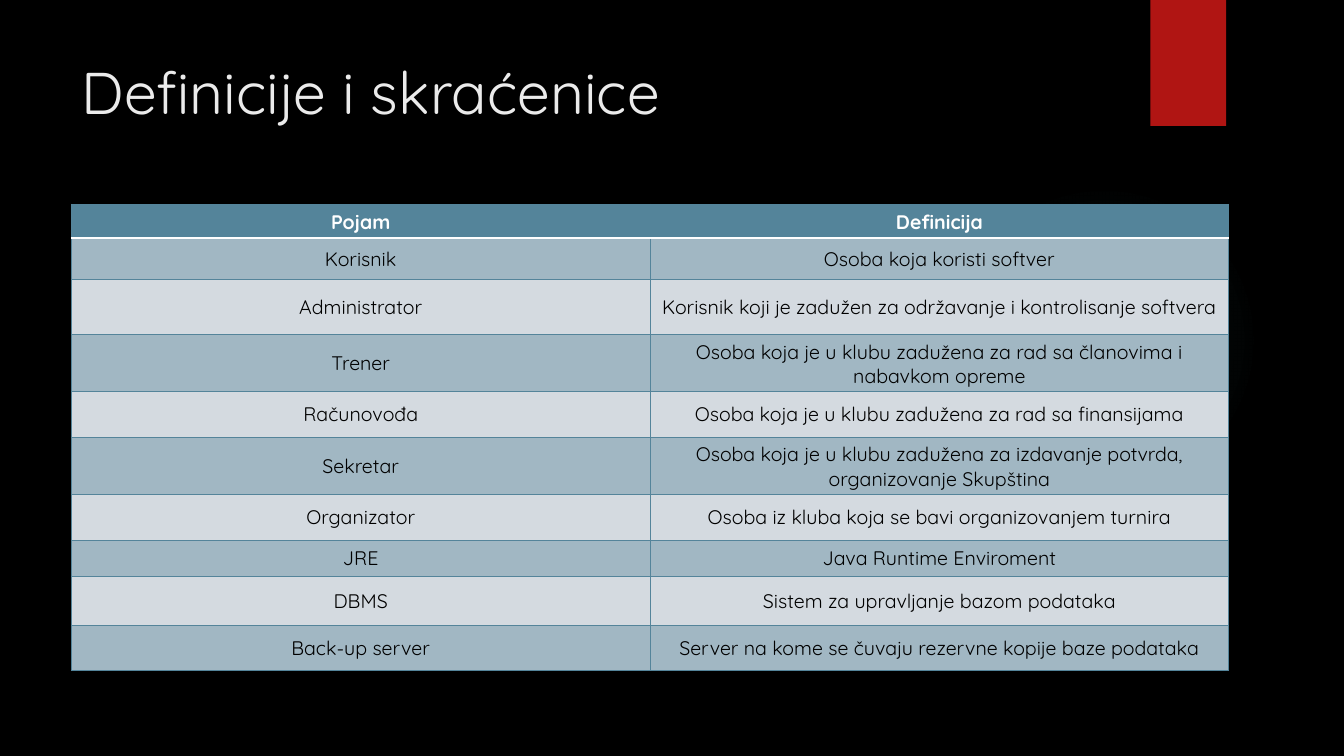
import pptx
import pptx.dml.color
import pptx.enum.shapes
import pptx.enum.text
import pptx.oxml
import pptx.util
from lxml import etree

Pt = pptx.util.Pt
SHAPE = pptx.enum.shapes.MSO_SHAPE
ANCHOR = pptx.enum.text.MSO_ANCHOR
ALIGN = pptx.enum.text.PP_ALIGN
NS = "http://schemas.openxmlformats.org/drawingml/2006/main"
TEAL, LIGHT, DARK = "54849A", "D4DAE0", "A1B7C3"


def rgb(value):
    return pptx.dml.color.RGBColor.from_string(value)


def write(tf, text, size=14, color="000000", bold=False, align=ALIGN.CENTER):
    p = tf.paragraphs[0]
    p.alignment = align
    r = p.add_run()
    r.text = text
    r.font.name = "Quicksand"
    r.font.size = Pt(size)
    r.font.bold = bold
    r.font.color.rgb = rgb(color)


prs = pptx.Presentation()
prs.slide_width, prs.slide_height = Pt(960), Pt(540)
s = prs.slides.add_slide(prs.slide_layouts[6])
s.background.fill.solid()
s.background.fill.fore_color.rgb = rgb("000000")

glow = s.shapes.add_shape(SHAPE.OVAL, Pt(677.5), Pt(131.8), Pt(221.8), Pt(221.8))
glow.shadow.inherit = False
glow.line.fill.background()
stops = "".join(
    f'<a:gs pos="{pos}000"><a:srgbClr val="50B9C1"><a:alpha val="{alpha}000"/></a:srgbClr></a:gs>'
    for pos, alpha in [(0, 7), (36, 6), (69, 0), (100, 0)]
)
glow.fill.gradient()
grad = glow.fill._xPr.find(f"{{{NS}}}gradFill")
grad.getparent().replace(grad, pptx.oxml.parse_xml(
    f'<a:gradFill xmlns:a="{NS}"><a:gsLst>{stops}</a:gsLst><a:path path="circle">'
    '<a:fillToRect l="50000" t="50000" r="50000" b="50000"/></a:path></a:gradFill>'
))

tab = s.shapes.add_shape(SHAPE.RECTANGLE, Pt(821.8), Pt(0), Pt(54), Pt(90))
tab.shadow.inherit = False
tab.fill.solid()
tab.fill.fore_color.rgb = rgb("B01513")
tab.line.fill.background()

title = s.shapes.add_textbox(Pt(51), Pt(36), Pt(741), Pt(110))
title.text_frame.word_wrap = True
write(title.text_frame, "Definicije i skraćenice", size=42, color="EBEBEB", align=ALIGN.LEFT)

rows = [
    (23, "Pojam", "Definicija"),
    (29.5, "Korisnik", "Osoba koja koristi softver"),
    (39.3, "Administrator", "Korisnik koji je zadužen za održavanje i kontrolisanje softvera"),
    (39.3, "Trener", "Osoba koja je u klubu zadužena za rad sa članovima i nabavkom opreme"),
    (32.7, "Računovođa", "Osoba koja je u klubu zadužena za rad sa finansijama"),
    (39.3, "Sekretar", "Osoba koja je u klubu zadužena za izdavanje potvrda, organizovanje Skupština"),
    (32.7, "Organizator", "Osoba iz kluba koja se bavi organizovanjem turnira"),
    (26.2, "JRE", "Java Runtime Enviroment"),
    (34.4, "DBMS", "Sistem za upravljanje bazom podataka"),
    (32.4, "Back-up server", "Server na kome se čuvaju rezervne kopije baze podataka"),
]
table = s.shapes.add_table(
    len(rows), 2, Pt(51), Pt(146), Pt(826.8), Pt(sum(row[0] for row in rows))
).table
for col in table.columns:
    col.width = Pt(413.4)

for i, (height, *texts) in enumerate(rows):
    table.rows[i].height = Pt(height)
    for j, text in enumerate(texts):
        cell = table.cell(i, j)
        cell.vertical_anchor = ANCHOR.MIDDLE
        write(cell.text_frame, text, color="000000" if i else "FFFFFF", bold=i == 0)
        tcPr = cell._tc.get_or_add_tcPr()
        for side in "LRTB":
            under_header = (i, side) in [(0, "B"), (1, "T")]
            ln = etree.SubElement(tcPr, f"{{{NS}}}ln{side}", w=str(Pt(1.5 if under_header else 0.75)))
            fill = etree.SubElement(ln, f"{{{NS}}}solidFill")
            etree.SubElement(fill, f"{{{NS}}}srgbClr", val="FFFFFF" if under_header else TEAL)
        cell.fill.solid()
        cell.fill.fore_color.rgb = rgb(TEAL if i == 0 else DARK if i % 2 else LIGHT)

prs.save("out.pptx")
